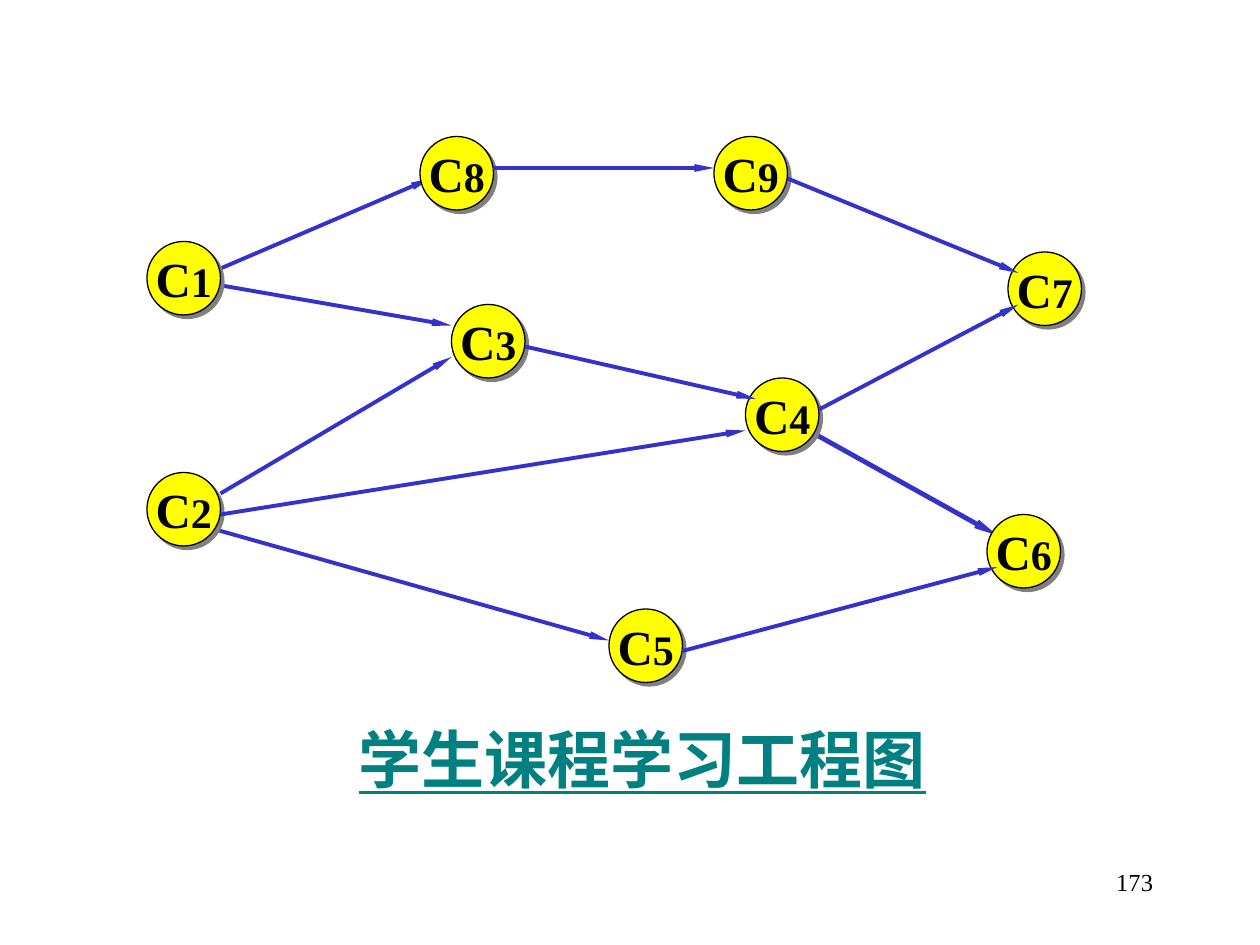
from lxml import etree
from pptx import Presentation
from pptx.dml.color import RGBColor
from pptx.enum.shapes import MSO_CONNECTOR, MSO_SHAPE
from pptx.enum.text import MSO_ANCHOR, MSO_AUTO_SIZE, PP_ALIGN
from pptx.oxml.ns import qn
from pptx.util import Inches, Pt

STRAIGHT = MSO_CONNECTOR.STRAIGHT
OVAL = MSO_SHAPE.OVAL
MIDDLE = MSO_ANCHOR.MIDDLE
GROW = MSO_AUTO_SIZE.SHAPE_TO_FIT_TEXT
LEFT, CENTER, RIGHT = PP_ALIGN.LEFT, PP_ALIGN.CENTER, PP_ALIGN.RIGHT

COLORS = {
    "arrow": "3333CC",
    "node": "FFFF00",
    "ink": "000000",
    "shadow": "808080",
    "title": "008080",
}
FONT = "Times New Roman"
CELLS_PER_INCH = 12
NODE_SIZE = 7

# Course number: column and row of the circle's top left corner
COURSES = {
    8: (40, 13), 3: (43, 29), 5: (58, 58), 4: (71, 36), 9: (68, 13),
    6: (94, 49), 7: (96, 24), 1: (14, 23), 2: (14, 45),
}
# Start and end of each arrow, as columns and rows
ARROWS_BEHIND = [
    ((19, 50), (58, 61)),
    ((21, 47), (43, 34)),
    ((20, 27), (43, 31)),
    ((20, 26), (41, 17)),
]
ARROWS_IN_FRONT = [
    ((47, 16), (68, 16)),
    ((50, 33), (72, 38)),
    ((21, 49), (71, 41)),
    ((75, 17), (97, 26)),
    ((78, 39), (97, 29)),
    ((65, 62), (95, 54)),
]


def cells(*counts):
    return [Inches(count / CELLS_PER_INCH) for count in counts]


def color(name):
    return RGBColor.from_string(COLORS[name])


def add_span(para, text, size, ink="ink", bold=False, underline=False):
    span = para.add_run()
    span.text = text
    font = span.font
    font.name, font.size = FONT, Pt(size)
    font.bold, font.underline = bold, underline
    font.color.rgb = color(ink)


def add_text(page, text, place, align=LEFT, wrap=True, **span_format):
    frame = page.shapes.add_textbox(*cells(*place)).text_frame
    frame.word_wrap = wrap
    if not wrap:
        frame.auto_size = GROW
    para = frame.paragraphs[0]
    para.alignment = align
    add_span(para, text, **span_format)


def add_arrow(page, start, end, width=2.25):
    arrow = page.shapes.add_connector(STRAIGHT, *cells(*start, *end))
    arrow.line.color.rgb = color("arrow")
    arrow.line.width = Pt(width)
    etree.SubElement(arrow.line._get_or_add_ln(), qn("a:tailEnd"),
                     type="triangle", w="sm", len="lg")
    etree.SubElement(arrow._element.spPr, qn("a:effectLst"))


def add_shadow(shape):
    """Cast a hard shadow to the lower right."""
    shape.shadow.inherit = False
    effects = shape._element.spPr.find(qn("a:effectLst"))
    shadow = etree.SubElement(effects, qn("a:outerShdw"), blurRad="0",
                              dist=str(Pt(2.8)), dir=str(45 * 60000),
                              algn="ctr", rotWithShape="0")
    etree.SubElement(shadow, qn("a:srgbClr"), val=COLORS["shadow"])


def add_course(page, number, corner):
    node = page.shapes.add_shape(OVAL, *cells(*corner, NODE_SIZE, NODE_SIZE))
    node.fill.solid()
    node.fill.fore_color.rgb = color("node")
    node.line.color.rgb = color("ink")
    node.line.width = Pt(0.75)
    add_shadow(node)
    frame = node.text_frame
    frame.word_wrap = False
    frame.vertical_anchor = MIDDLE
    para = frame.paragraphs[0]
    para.alignment = CENTER
    add_span(para, "C", 28, bold=True)
    add_span(para, str(number), 24, bold=True)


def main():
    deck = Presentation()
    deck.slide_width, deck.slide_height = cells(120, 90)
    page = deck.slides.add_slide(deck.slide_layouts[6])

    add_arrow(page, (77, 41), (95, 51), width=2.75)
    for start, end in ARROWS_BEHIND:
        add_arrow(page, start, end)
    add_text(page, "学生课程学习工程图", (33, 68, 56.4, 8.4), wrap=False,
             size=36, ink="title", bold=True, underline=True)
    for number, corner in COURSES.items():
        add_course(page, number, corner)
    for start, end in ARROWS_IN_FRONT:
        add_arrow(page, start, end)
    add_text(page, "173", (86, 82, 25, 6), align=RIGHT, size=14)

    deck.save("out.pptx")


if __name__ == "__main__":
    main()
